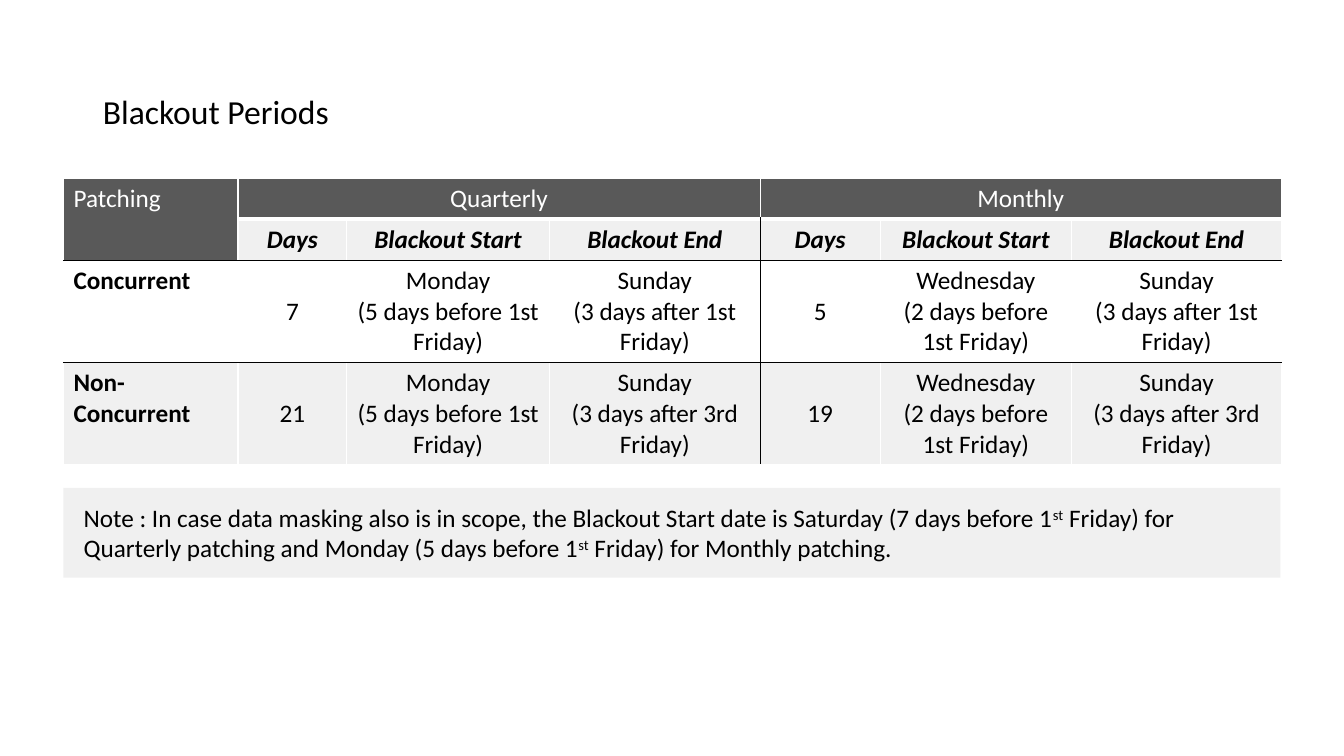
from dataclasses import dataclass

from lxml import etree
from pptx import Presentation
from pptx.dml.color import RGBColor
from pptx.enum.shapes import MSO_SHAPE
from pptx.enum.text import MSO_ANCHOR, PP_ALIGN
from pptx.oxml.ns import qn
from pptx.util import Pt

LEFT, CENTER = PP_ALIGN.LEFT, PP_ALIGN.CENTER
TOP, MIDDLE = MSO_ANCHOR.TOP, MSO_ANCHOR.MIDDLE
RECTANGLE = MSO_SHAPE.RECTANGLE
TITLE_ONLY = 5
EMU_PER_PX = 9144  # 100 px to the inch


@dataclass(frozen=True)
class Theme:
    font: str = "Calibri"
    title_size: int = 24
    body_size: int = 18
    ink: str = "000000"
    paper: str = "FFFFFF"
    header: str = "595959"
    band: str = "F0F0F0"


THEME = Theme()
SLIDE_SIZE = (1333, 750)
TITLE_BOX = (92, 40, 1150, 145)
TABLE_BOX = (63, 177, 1208, 282)
NOTE_BOX = (63, 484, 1207, 89)

COLUMN_WIDTHS = (173, 108, 201, 209, 119, 190, 208)
ROW_HEIGHTS = (40, 40, 101, 101)
MONTHLY_COLUMN = 4
PERIOD_HEADINGS = ("Days", "Blackout Start", "Blackout End")
QUARTERLY_START = "Monday\n(5 days before 1st Friday)"
MONTHLY_START = "Wednesday\n(2 days before 1st Friday)"
END_AFTER_FIRST = "Sunday\n(3 days after 1st Friday)"
END_AFTER_THIRD = "Sunday\n(3 days after 3rd Friday)"
SCHEDULE = (
    ("Patching", "Quarterly", "", "", "Monthly", "", ""),
    ("", *PERIOD_HEADINGS, *PERIOD_HEADINGS),
    ("Concurrent", "7", QUARTERLY_START, END_AFTER_FIRST,
     "5", MONTHLY_START, END_AFTER_FIRST),
    ("Non-Concurrent", "21", QUARTERLY_START, END_AFTER_THIRD,
     "19", MONTHLY_START, END_AFTER_THIRD),
)
MERGES = ((0, 0, 1, 0), (0, 1, 0, 3), (0, 4, 0, 6))
NOTE_PARTS = (
    "Note : In case data masking also is in scope, the Blackout Start date "
    "is Saturday (7 days before 1",
    "st",
    " Friday) for Quarterly patching and Monday (5 days before 1",
    "st",
    " Friday) for Monthly patching.",
)


def px(length):
    return length * EMU_PER_PX


def place(part, box):
    for side, length in zip(("left", "top", "width", "height"), box):
        setattr(part, side, px(length))


def format_font(font, size, color=THEME.ink, bold=False, italic=False):
    values = {"name": THEME.font, "size": Pt(size), "bold": bold, "italic": italic}
    for name, value in values.items():
        setattr(font, name, value)
    font.color.rgb = RGBColor.from_string(color)


def paint(part, color):
    part.fill.solid()
    part.fill.fore_color.rgb = RGBColor.from_string(color)


def add_title(slide, box):
    title = slide.shapes.title
    place(title, box)
    title.text_frame.text = "Blackout Periods"
    title.text_frame.vertical_anchor = MIDDLE
    heading = title.text_frame.paragraphs[0]
    heading.alignment = LEFT
    heading.line_spacing = 0.9
    format_font(heading.runs[0].font, THEME.title_size)


def border_cell(cell, row, column):
    """White grid, with black rules below the headings and between the periods."""
    white, black = (THEME.paper, 1), (THEME.ink, 0.5)
    below_groups = row > 0
    if row == 0 and column > 0:
        bottom = (THEME.paper, 3)
    else:
        bottom = black if row < len(SCHEDULE) - 1 else white
    edges = {
        "a:lnL": black if below_groups and column == MONTHLY_COLUMN else white,
        "a:lnR": black if below_groups and column == MONTHLY_COLUMN - 1 else white,
        "a:lnT": black if row > 1 else white,
        "a:lnB": bottom,
    }
    properties = cell._tc.get_or_add_tcPr()
    for tag, (color, width) in edges.items():
        line = etree.SubElement(properties, qn(tag), w=str(Pt(width)))
        fill = etree.SubElement(line, qn("a:solidFill"))
        etree.SubElement(fill, qn("a:srgbClr"), val=color)


def fill_cell(cell, row, column):
    is_header = row == 0 or (row == 1 and column == 0)
    is_subheading = row == 1 and column > 0
    border_cell(cell, row, column)
    if is_header:
        paint(cell, THEME.header)
    else:
        paint(cell, THEME.paper if row == 2 else THEME.band)
    if not SCHEDULE[row][column]:
        return
    cell.text = SCHEDULE[row][column]
    cell.vertical_anchor = TOP if is_header or column == 0 else MIDDLE
    for paragraph in cell.text_frame.paragraphs:
        paragraph.alignment = LEFT if column == 0 else CENTER
        format_font(
            paragraph.runs[0].font,
            THEME.body_size,
            THEME.paper if is_header else THEME.ink,
            bold=is_subheading or (column == 0 and not is_header),
            italic=is_subheading,
        )


def add_schedule(slide, box):
    table = slide.shapes.add_table(
        len(ROW_HEIGHTS), len(COLUMN_WIDTHS), *map(px, box)).table
    for column, width in zip(table.columns, COLUMN_WIDTHS):
        column.width = px(width)
    for row, height in zip(table.rows, ROW_HEIGHTS):
        row.height = px(height)
    for top, left, bottom, right in MERGES:
        table.cell(top, left).merge(table.cell(bottom, right))
    for row in range(len(ROW_HEIGHTS)):
        for column in range(len(COLUMN_WIDTHS)):
            fill_cell(table.cell(row, column), row, column)


def add_note(slide, box):
    note = slide.shapes.add_shape(RECTANGLE, *map(px, box))
    note.shadow.inherit = False
    paint(note, THEME.band)
    note.line.fill.background()
    frame = note.text_frame
    frame.word_wrap = True
    frame.vertical_anchor = MIDDLE
    for side in ("left", "top", "right", "bottom"):
        setattr(frame, f"margin_{side}", px(20))
    sentence = frame.paragraphs[0]
    sentence.alignment = LEFT
    for part in NOTE_PARTS:
        run = sentence.add_run()
        run.text = part
        format_font(run.font, THEME.body_size)
        if part == "st":
            run._r.get_or_add_rPr().set("baseline", "30000")


def main():
    deck = Presentation()
    deck.slide_width, deck.slide_height = map(px, SLIDE_SIZE)
    slide = deck.slides.add_slide(deck.slide_layouts[TITLE_ONLY])
    add_schedule(slide, TABLE_BOX)
    add_title(slide, TITLE_BOX)
    add_note(slide, NOTE_BOX)
    deck.save("out.pptx")


if __name__ == "__main__":
    main()
